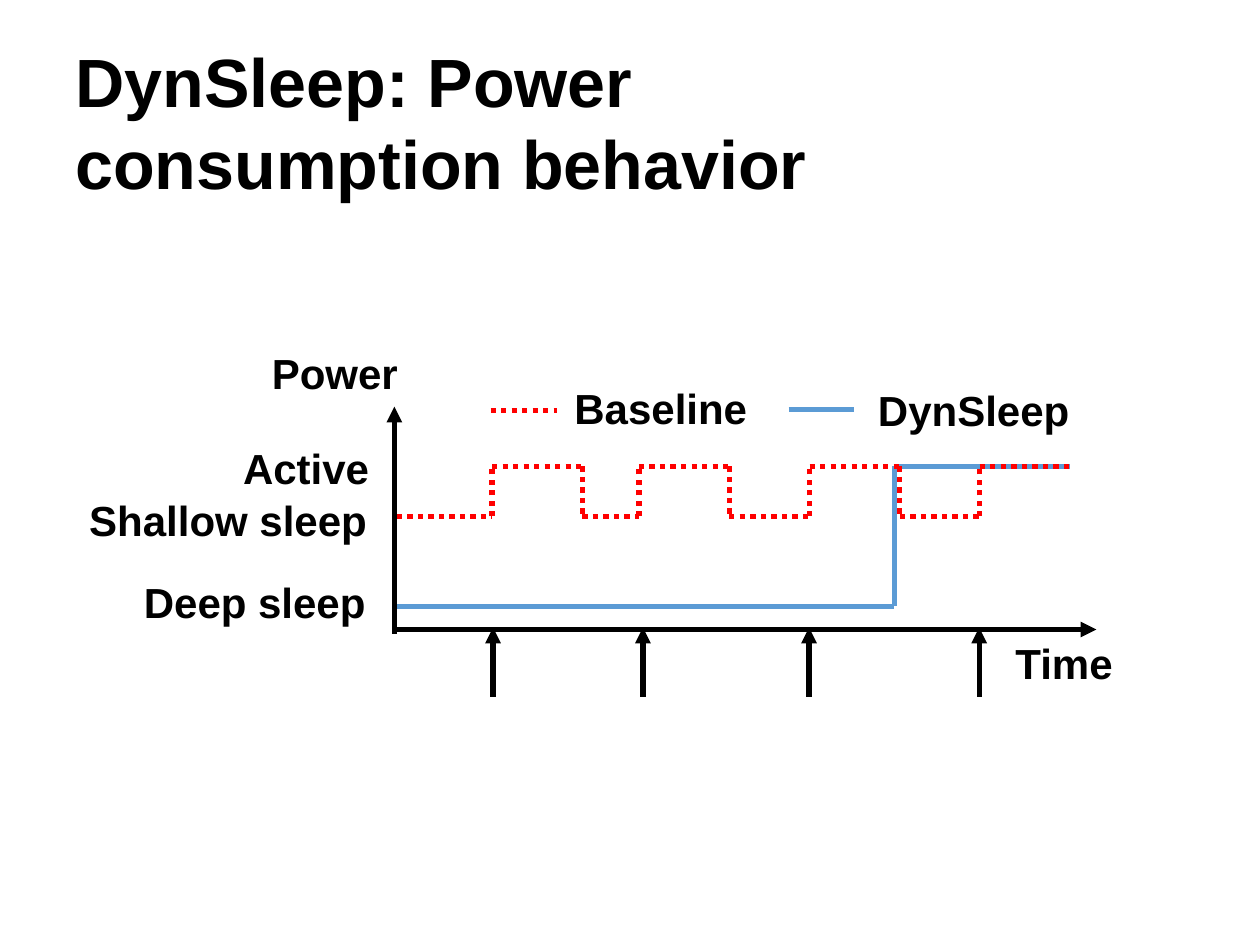
from itertools import pairwise

from lxml import etree
from pptx import Presentation
from pptx.dml.color import RGBColor
from pptx.enum.dml import MSO_LINE
from pptx.enum.shapes import MSO_CONNECTOR
from pptx.enum.text import MSO_ANCHOR
from pptx.oxml.ns import qn
from pptx.util import Cm, Pt

STRAIGHT = MSO_CONNECTOR.STRAIGHT
DOTTED = MSO_LINE.ROUND_DOT
BOTTOM = MSO_ANCHOR.BOTTOM

FONT = "Arial"
BLACK, RED, BLUE = "000000", "FF0000", "5B9BD5"

# Chart geometry in centimetres
ACTIVE_Y, SHALLOW_Y, DEEP_Y = 9.4, 10.41, 12.22
AXIS_X, AXIS_Y = 7.95, 12.69
TRACE_END = 21.58
PULSE_STARTS = (9.92, 12.88, 16.32, 19.75)
PULSE_WIDTH = 1.82
WAKE_X = 18.03
ARRIVALS = (9.94, 12.96, 16.31, 19.74)

# text, left, top, width, side inset
LABELS = (
    ("Active", 4.9, 8.92, 2.62, 0),
    ("Shallow sleep", 1.8, 9.96, 5.72, 0),
    ("Deep sleep", 2.9, 11.63, 4.6, 0),
    ("Baseline", 11.33, 7.72, 4.14, 0.25),
    ("DynSleep", 17.45, 7.75, 5.16, 0.25),
    ("Power", 5.23, 7.01, 3.1, 0.25),
    ("Time", 20.22, 12.85, 3.1, 0.25),
)


def rgb(color):
    return RGBColor.from_string(color)


def add_text(slide, text, box, size, inset=(0, 0), wrap=False):
    """Add bold text; box is left, top, width, height and inset is side, top."""
    tf = slide.shapes.add_textbox(*map(Cm, box)).text_frame
    tf.word_wrap = wrap
    tf.margin_left = tf.margin_right = Cm(inset[0])
    tf.margin_top = tf.margin_bottom = Cm(inset[1])
    r = tf.paragraphs[0].add_run()
    r.text = text
    r.font.name, r.font.size, r.font.bold = FONT, Pt(size), True
    r.font.color.rgb = rgb(color=BLACK)
    return tf


def add_line(slide, start, end, color, dash=None, arrow=False):
    line = slide.shapes.add_connector(STRAIGHT, *map(Cm, (*start, *end)))
    line.line.color.rgb = rgb(color)
    line.line.width = Pt(3)
    if dash is not None:
        line.line.dash_style = dash
    if arrow:
        ln = line.line._get_or_add_ln()
        etree.SubElement(ln, qn("a:tailEnd"), type="triangle")
    etree.SubElement(line._element.spPr, qn("a:effectLst"))


def add_trace(slide, points, color, dash=None):
    for start, end in pairwise(points):
        add_line(slide, start, end, color, dash)


def baseline_points():
    points = [(8.0, SHALLOW_Y)]
    for x in PULSE_STARTS:
        fall = x + PULSE_WIDTH
        points += [(x, SHALLOW_Y), (x, ACTIVE_Y),
                   (fall, ACTIVE_Y), (fall, SHALLOW_Y)]
    return points[:-1]


def add_chart_lines(slide):
    add_line(slide, (AXIS_X, AXIS_Y), (22.1, AXIS_Y), BLACK, arrow=True)
    dynsleep = [(AXIS_X, DEEP_Y), (WAKE_X, DEEP_Y),
                (WAKE_X, ACTIVE_Y), (TRACE_END, ACTIVE_Y)]
    add_trace(slide, dynsleep, BLUE)
    add_trace(slide, baseline_points(), RED, DOTTED)
    add_line(slide, (AXIS_X, 12.78), (AXIS_X, 8.2), BLACK, arrow=True)
    for x in ARRIVALS:
        add_line(slide, (x, 14.05), (x, 12.65), BLACK, arrow=True)


def add_legend_lines(slide):
    add_line(slide, (9.89, 8.28), (11.22, 8.28), RED, DOTTED)
    add_line(slide, (15.9, 8.25), (17.22, 8.25), BLUE)


def main():
    prs = Presentation()
    prs.slide_width, prs.slide_height = Cm(25.4), Cm(19.05)
    slide = prs.slides.add_slide(prs.slide_layouts[6])

    title = add_text(slide, "DynSleep: Power consumption behavior",
                     (1.27, 0.64, 20.6, 3.58), 39, (0.25, 0.13), wrap=True)
    title.vertical_anchor = BOTTOM

    add_legend_lines(slide)
    add_chart_lines(slide)
    for text, left, top, width, inset in LABELS:
        add_text(slide, text, (left, top, width, 1.03), 24, (inset, 0))

    prs.save("out.pptx")


if __name__ == "__main__":
    main()
